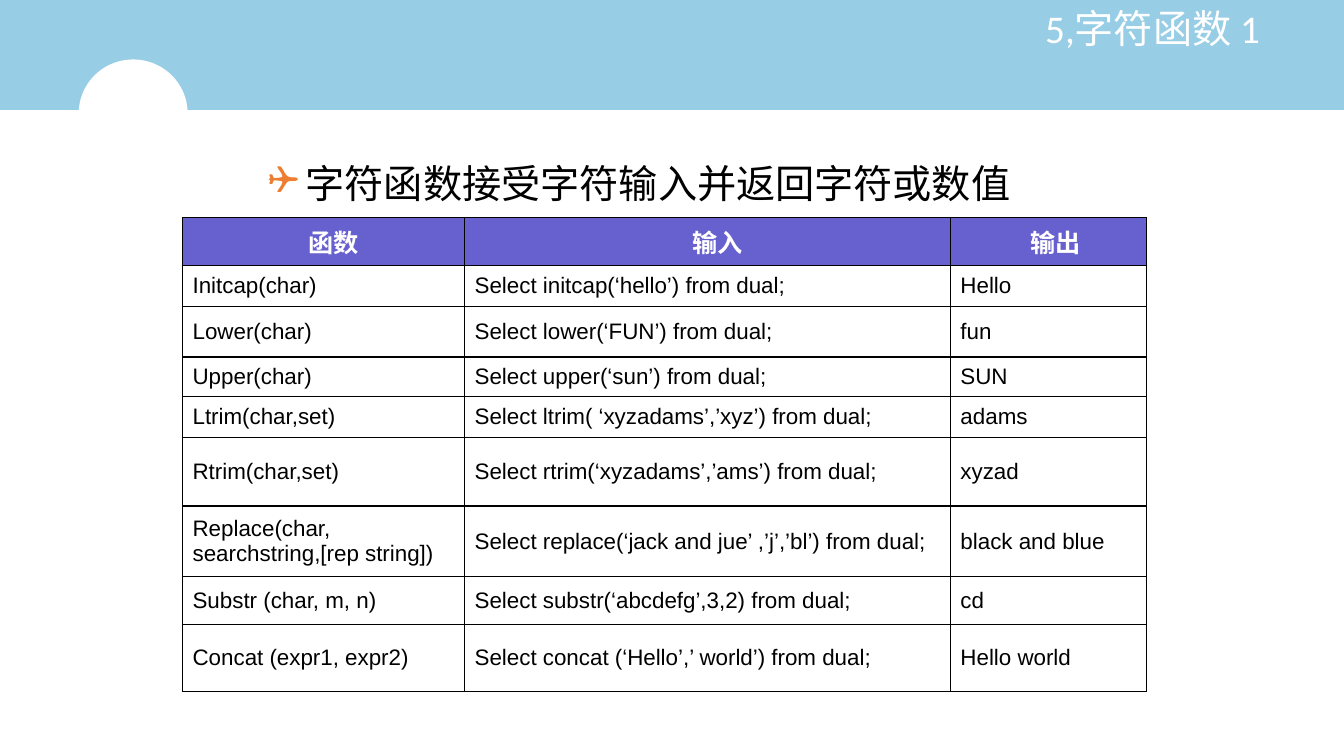
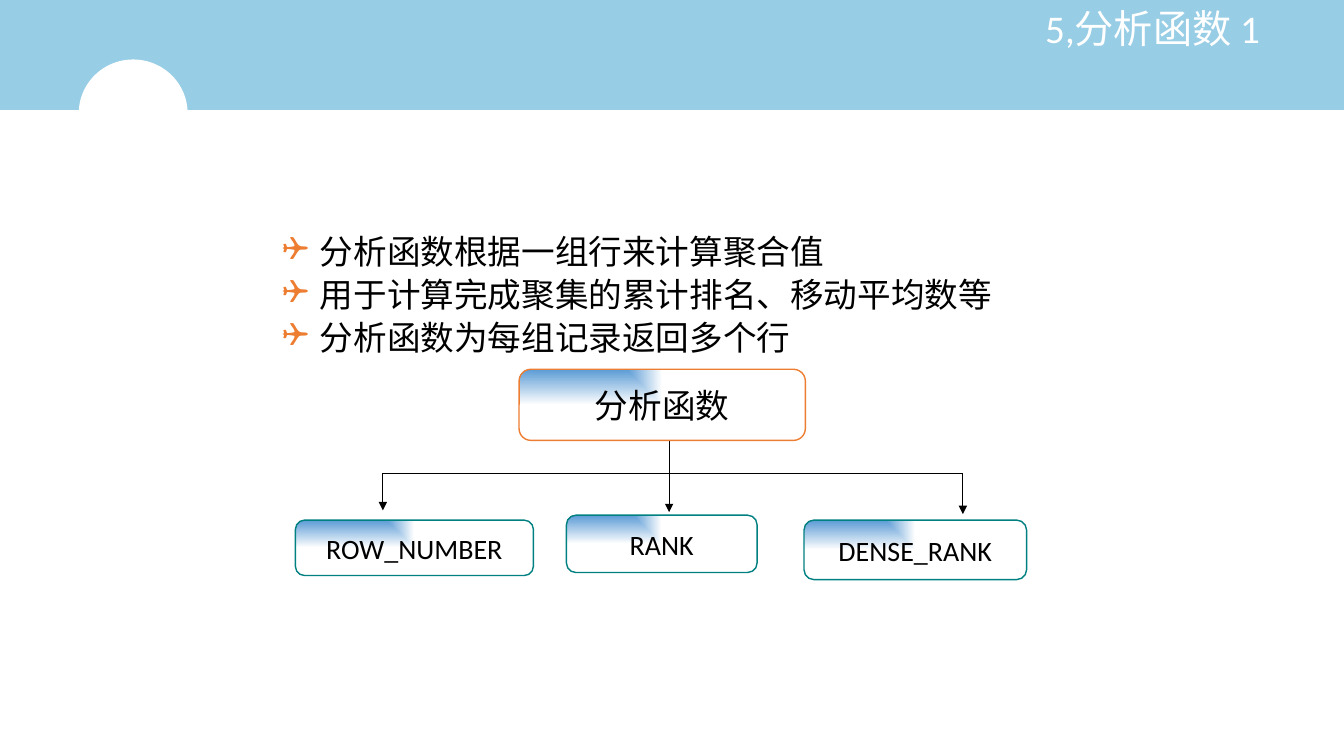
from pptx import Presentation
from pptx.dml.color import RGBColor
from pptx.enum.shapes import MSO_CONNECTOR, MSO_SHAPE
from pptx.enum.text import MSO_ANCHOR, PP_ALIGN
from pptx.oxml import parse_xml
from pptx.oxml.ns import nsdecls, qn
from pptx.util import Pt

RECTANGLE, OVAL, ROUNDED = MSO_SHAPE.RECTANGLE, MSO_SHAPE.OVAL, MSO_SHAPE.ROUNDED_RECTANGLE
STRAIGHT = MSO_CONNECTOR.STRAIGHT
TOP, MIDDLE = MSO_ANCHOR.TOP, MSO_ANCHOR.MIDDLE
LEFT, CENTER, RIGHT = PP_ALIGN.LEFT, PP_ALIGN.CENTER, PP_ALIGN.RIGHT

SKY, WHITE, BLACK = "97CDE5", "FFFFFF", "000000"
ORANGE, TEAL, BLUE, VIOLET = "ED7D31", "008080", "5B9BD5", "6760CF"
TITLE_FONT = {"name": "Calibri", "size": Pt(28), "bold": False}
TABLE_FONT = {"name": "Arial", "size": Pt(16), "bold": False}
HEADER_FONT = {"name": "Arial", "size": Pt(18), "bold": True}


def color(code):
    return RGBColor.from_string(code)


def write(para, text, font, code, align=LEFT):
    span = para.add_run()
    span.text = text
    for key, value in font.items():
        setattr(span.font, key, value)
    span.font.color.rgb = color(code)
    para.alignment = align


deck = Presentation()
deck.slide_width, deck.slide_height = Pt(960), Pt(540)
layout = deck.slide_layouts[5]

# Slides with their titles and bullet lists: left, top, width, height, size, line spacing
contents = [
    ("5,字符函数 1", (184.3, 110.2, 601, 45), 28, 1.0,
     ["字符函数接受字符输入并返回字符或数值"]),
    ("5,分析函数 1", (194.4, 164.9, 635, 119), 24, 0.9,
     ["分析函数根据一组行来计算聚合值",
      "用于计算完成聚集的累计排名、移动平均数等",
      "分析函数为每组记录返回多个行"]),
]
for heading, place, size, spacing, points in contents:
    page = deck.slides.add_slide(layout)
    title = page.shapes.title
    title.left, title.top, title.width, title.height = Pt(565.2), Pt(0.7), Pt(342), Pt(80)
    frame = title.text_frame
    frame.vertical_anchor, frame.margin_top = TOP, Pt(6)
    para = frame.paragraphs[0]
    para.line_spacing = 0.9
    write(para, heading, TITLE_FONT, WHITE, RIGHT)

    box = page.shapes.add_textbox(*map(Pt, place))
    frame = box.text_frame
    frame.word_wrap = True
    for index, point in enumerate(points):
        para = frame.add_paragraph() if index else frame.paragraphs[0]
        para.line_spacing = spacing
        para.space_before = Pt(size * 0.2)
        write(para, point, {"name": "Calibri", "size": Pt(size)}, BLACK)
        props = para._p.get_or_add_pPr()
        props.set("marL", str(Pt(27)))
        props.set("indent", str(Pt(-27)))
        for bullet in (f'<a:buClr {nsdecls("a")}><a:srgbClr val="{ORANGE}"/></a:buClr>',
                       f'<a:buFont {nsdecls("a")} typeface="Wingdings"/>',
                       f'<a:buChar {nsdecls("a")} char="❑"/>'):
            props.append(parse_xml(bullet))

# Shared band and half circle, moved to the layout behind the title
function_page, analysis_page = deck.slides
decor = [(RECTANGLE, (0, 0, 960, 78.5), SKY), (OVAL, (56.2, 42.5, 77.8, 77), WHITE)]
for layer, (kind, place, code) in enumerate(decor):
    shape = function_page.shapes.add_shape(kind, *map(Pt, place))
    shape.shadow.inherit = False
    shape.fill.solid()
    shape.fill.fore_color.rgb = color(code)
    shape.line.fill.background()
    layout.shapes.element.insert(2 + layer, shape.element)

# Table of character functions
rows = [
    ("函数", "输入", "输出"),
    ("Initcap(char)", "Select initcap(‘hello’) from dual;", "Hello"),
    ("Lower(char)", "Select lower(‘FUN’) from dual;", "fun"),
    ("Upper(char)", "Select upper(‘sun’) from dual;", "SUN"),
    ("Ltrim(char,set)", "Select ltrim( ‘xyzadams’,’xyz’) from dual;", "adams"),
    ("Rtrim(char,set)", "Select rtrim(‘xyzadams’,’ams’) from dual;", "xyzad"),
    ("Replace(char, searchstring,[rep string])",
     "Select replace(‘jack and jue’ ,’j’,’bl’) from dual;", "black and blue"),
    ("Substr (char, m, n)", "Select substr(‘abcdefg’,3,2) from dual;", "cd"),
    ("Concat (expr1, expr2)", "Select concat (‘Hello’,’ world’) from dual;", "Hello world"),
]
widths = [201.5, 347, 140]
heights = [34, 29.5, 36, 28.5, 29, 49, 50.5, 34, 48]
header_margins = [22, 22, 17]
table = function_page.shapes.add_table(len(rows), len(widths), Pt(130.4), Pt(155.5),
                                       Pt(sum(widths)), Pt(sum(heights))).table
table.first_row = table.horz_banding = False
for column, width in zip(table.columns, widths):
    column.width = Pt(width)
for row_index, (texts, height) in enumerate(zip(rows, heights)):
    table.rows[row_index].height = Pt(height)
    for column_index, text in enumerate(texts):
        cell = table.cell(row_index, column_index)
        cell.vertical_anchor = MIDDLE
        para = cell.text_frame.paragraphs[0]
        if row_index == 0:
            cell.margin_left = Pt(header_margins[column_index])
            cell.fill.solid()
            cell.fill.fore_color.rgb = color(VIOLET)
            write(para, text, HEADER_FONT, WHITE, CENTER)
        else:
            cell.fill.background()
            write(para, text, TABLE_FONT, BLACK)
        props = cell._tc.get_or_add_tcPr()
        for order, side in enumerate(("lnL", "lnR", "lnT", "lnB")):
            props.insert(order, parse_xml(
                f'<a:{side} {nsdecls("a")} w="{Pt(1)}"><a:solidFill>'
                f'<a:srgbClr val="{BLACK}"/></a:solidFill></a:{side}>'))

# Tree lines: start, end, arrowhead
stem, left_branch, right_branch, fork = 478, 273.5, 687.8, 338.2
lines = [
    (stem, 314.6, stem, fork, False),
    (left_branch, fork, right_branch, fork, False),
    (left_branch, fork, left_branch, 364.5, True),
    (stem, fork, stem, 365.8, True),
    (right_branch, fork, right_branch, 367.2, True),
]
for *ends, arrow in lines:
    line = analysis_page.shapes.add_connector(STRAIGHT, *map(Pt, ends))
    line.line.color.rgb = color(BLACK)
    line.line.width = Pt(0.75)
    if arrow:
        line.line._get_or_add_ln().append(
            parse_xml(f'<a:tailEnd {nsdecls("a")} type="triangle"/>'))
    line.element.spPr.append(parse_xml(f'<a:effectLst {nsdecls("a")}/>'))

# Tree boxes, shaded from the top left corner
boxes = [
    ("分析函数", (370.8, 263.8, 204.5, 50.8), 24, ORANGE),
    ("ROW_NUMBER", (211, 371.5, 170, 39.6), 20, TEAL),
    ("RANK", (404.6, 368, 136.2, 41), 20, TEAL),
    ("DENSE_RANK", (574.3, 371.5, 159, 42.5), 20, TEAL),
]
for text, place, size, outline in boxes:
    box = analysis_page.shapes.add_shape(ROUNDED, *map(Pt, place))
    box.shadow.inherit = False
    box.line.color.rgb = color(outline)
    box.line.width = Pt(1)
    box.fill.gradient()
    for stop, code in zip(box.fill.gradient_stops, (BLUE, WHITE)):
        stop.color.rgb = color(code)
    gradient = box.element.spPr.find(qn("a:gradFill"))
    gradient.replace(gradient.find(qn("a:lin")), parse_xml(
        f'<a:path {nsdecls("a")} path="rect"><a:fillToRect r="100000" b="100000"/></a:path>'))
    frame = box.text_frame
    frame.word_wrap = False
    frame.vertical_anchor = MIDDLE
    write(frame.paragraphs[0], text, {"name": "Calibri", "size": Pt(size)}, BLACK, CENTER)

deck.save("out.pptx")
